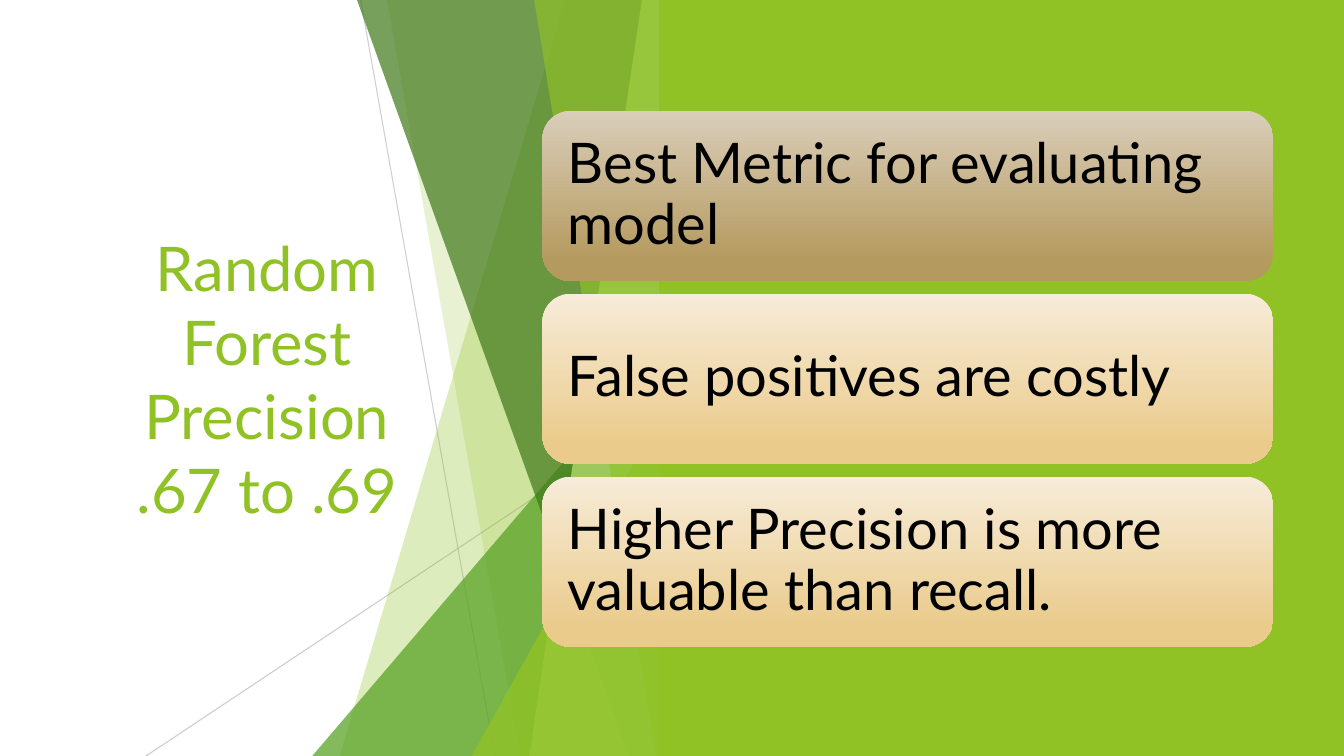
from lxml.etree import SubElement
from pptx import Presentation
from pptx.dml.color import RGBColor
from pptx.enum.shapes import MSO_CONNECTOR, MSO_SHAPE
from pptx.enum.text import MSO_ANCHOR as Anchor, PP_ALIGN as Align
from pptx.oxml.ns import qn
from pptx.util import Cm, Pt

LIME = RGBColor(0x90, 0xC2, 0x26)
GREEN = RGBColor(0x54, 0xA0, 0x21)
FOREST = RGBColor(0x3F, 0x78, 0x19)
PALE_LIME = RGBColor(0xC0, 0xE4, 0x74)
GREY = RGBColor(0xBF, 0xBF, 0xBF)
BLACK = RGBColor(0, 0, 0)
TAN = RGBColor(0xDA, 0xCE, 0xBA), RGBColor(0xB5, 0x9A, 0x5F)
SAND = RGBColor(0xF7, 0xEC, 0xD9), RGBColor(0xEA, 0xCB, 0x8C)

WIDTH, HEIGHT = 33.87, 19.05
FACET_RIGHT = 16.92


class SlideBuilder:
    """Draws the slide's elements in one style, with lengths in centimetres."""

    font = "Lato"

    def __init__(self, slide):
        self.slide = slide
        self.shapes = slide.shapes

    def set_opacity(self, shape, percent):
        for color in shape._element.spPr.iter(qn("a:srgbClr")):
            SubElement(color, qn("a:alpha"), val=str(percent * 1000))

    def paint(self, shape, color, opacity=100):
        shape.shadow.inherit = False
        shape.line.fill.background()
        shape.fill.solid()
        shape.fill.fore_color.rgb = color
        if opacity < 100:
            self.set_opacity(shape, opacity)

    def set_text(self, text_frame, text, size, color, align, spacing):
        text_frame.word_wrap = True
        text_frame.vertical_anchor = Anchor.MIDDLE
        text_frame.text = text
        for paragraph in text_frame.paragraphs:
            paragraph.alignment = align
            paragraph.line_spacing = spacing
            for run in paragraph.runs:
                run.font.name = self.font
                run.font.size = Pt(size)
                run.font.color.rgb = color

    def line(self, start, end, opacity):
        ends = [Cm(value) for value in (*start, *end)]
        connector = self.shapes.add_connector(MSO_CONNECTOR.STRAIGHT, *ends)
        connector.line.color.rgb = GREY
        connector.line.width = Pt(0.75)
        self.set_opacity(connector, opacity)
        SubElement(connector._element.spPr, qn("a:effectLst"))

    def facet(self, top_x, bottom_x, color, opacity):
        builder = self.shapes.build_freeform(Cm(top_x), Cm(-0.02))
        corners = [(FACET_RIGHT, -0.02), (FACET_RIGHT, HEIGHT), (bottom_x, HEIGHT)]
        builder.add_line_segments([(Cm(x), Cm(y)) for x, y in corners], close=True)
        self.paint(builder.convert_to_shape(), color, opacity)

    def triangle(self, left, top, color, opacity):
        shape = self.shapes.add_shape(
            MSO_SHAPE.ISOSCELES_TRIANGLE,
            Cm(left), Cm(top), Cm(FACET_RIGHT - left), Cm(HEIGHT - top))
        shape.adjustments[0] = 1
        self.paint(shape, color, opacity)

    def panel(self, left, color):
        shape = self.shapes.add_shape(
            MSO_SHAPE.RECTANGLE, Cm(left), 0, Cm(WIDTH - left), Cm(HEIGHT))
        self.paint(shape, color)

    def title(self, left, top, width, height, text):
        box = self.shapes.add_textbox(Cm(left), Cm(top), Cm(width), Cm(height))
        self.set_text(box.text_frame, text, 44, LIME, Align.CENTER, 1.0)

    def card(self, left, top, width, height, text, colors):
        shape = self.shapes.add_shape(
            MSO_SHAPE.ROUNDED_RECTANGLE, Cm(left), Cm(top), Cm(width), Cm(height))
        shape.shadow.inherit = False
        shape.line.fill.background()
        shape.fill.gradient()
        shape.fill.gradient_angle = 270
        for stop, color, position in zip(shape.fill.gradient_stops, colors, (0, 0.88)):
            stop.color.rgb = color
            stop.position = position
        frame = shape.text_frame
        frame.margin_left = frame.margin_right = Cm(0.43)
        frame.margin_top = frame.margin_bottom = Cm(0.43)
        self.set_text(frame, text, 40, BLACK, Align.LEFT, 0.9)


def main():
    presentation = Presentation()
    presentation.slide_width, presentation.slide_height = Cm(WIDTH), Cm(HEIGHT)
    builder = SlideBuilder(presentation.slides.add_slide(presentation.slide_layouts[6]))

    builder.line((9.09, 0), (12.47, HEIGHT), 75)
    builder.line((FACET_RIGHT, 10.24), (3.68, HEIGHT), 80)
    builder.facet(14.25, 8.56, LIME, 30)
    builder.facet(9.75, 13.11, LIME, 20)
    builder.triangle(7.87, 8.46, GREEN, 72)
    builder.facet(8.99, 15.85, FOREST, 70)
    builder.facet(16.18, 13.34, PALE_LIME, 70)
    builder.facet(13.46, 16.54, LIME, 65)
    builder.triangle(11.89, 9.98, LIME, 80)
    builder.panel(16.61, LIME)

    builder.title(1.8, 3.84, 9.86, 11.38, "Random Forest\vPrecision\v.67 to .69")
    cards = [
        ("Best Metric for evaluating model", TAN),
        ("False positives are costly", SAND),
        ("Higher Precision is more valuable than recall.", SAND),
    ]
    for index, (text, colors) in enumerate(cards):
        builder.card(13.67, 2.79 + 4.61 * index, 18.42, 4.29, text, colors)

    presentation.save("out.pptx")


if __name__ == "__main__":
    main()
